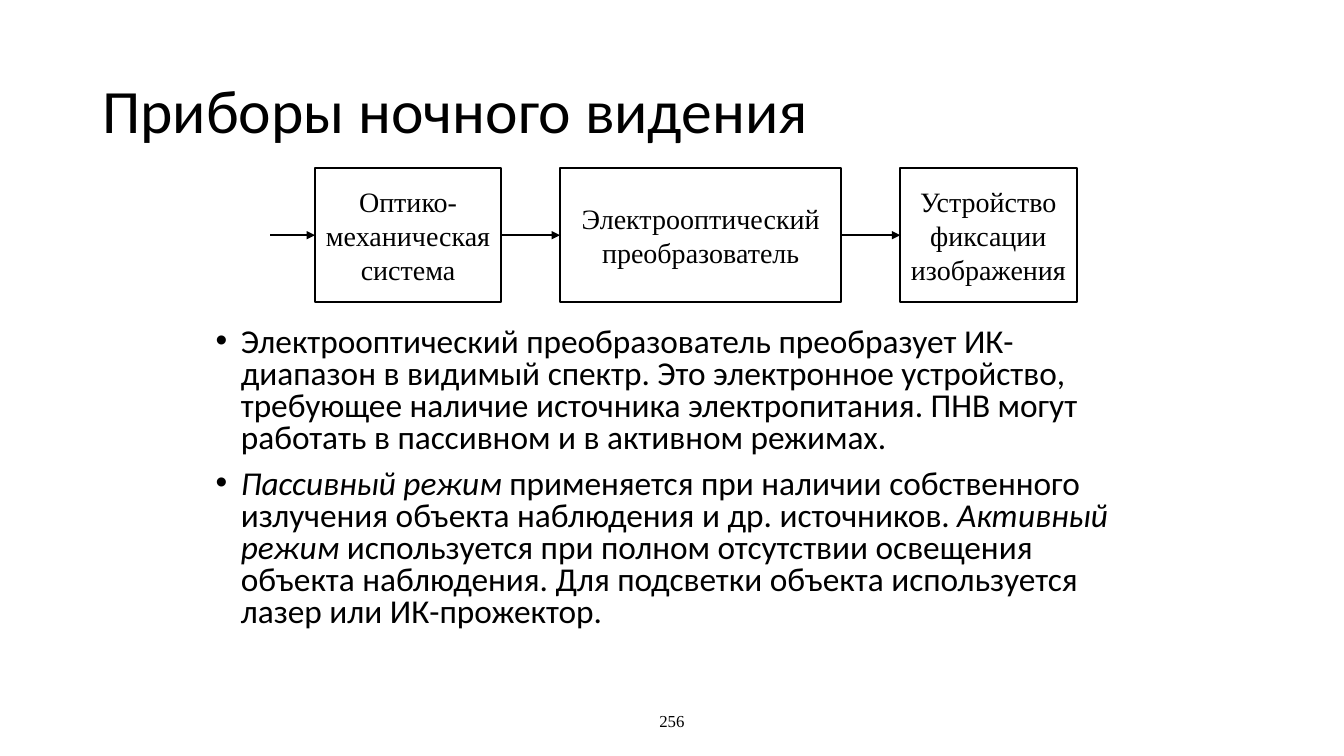
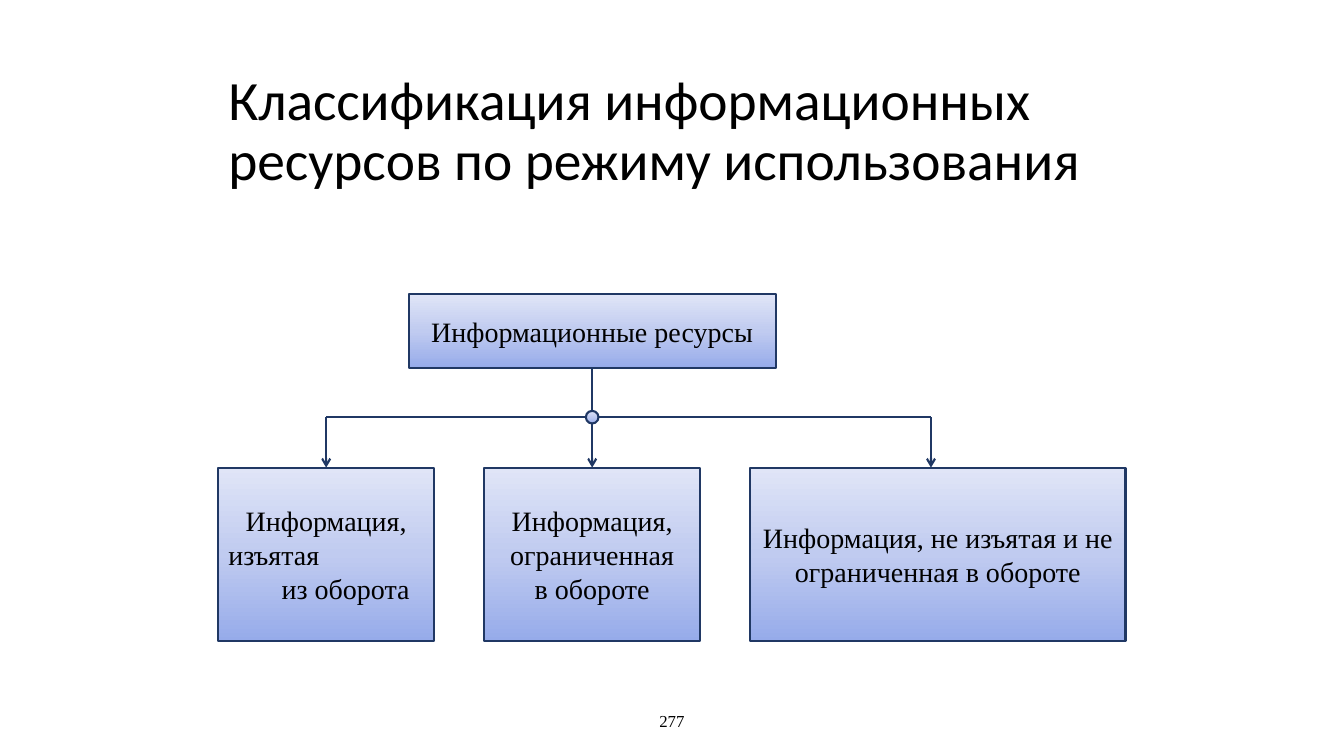
from copy import deepcopy

from lxml import etree
from pptx import Presentation
from pptx.dml.color import RGBColor
from pptx.enum import shapes, text
from pptx.oxml import ns
from pptx.util import Pt

# Shared style
BLACK = RGBColor(0x00, 0x00, 0x00)
WHITE = RGBColor(0xFF, 0xFF, 0xFF)
NAVY = RGBColor(0x20, 0x38, 0x64)
GRADIENT = [
    (0, RGBColor(0x96, 0xAB, 0xEA)),
    (0.5, RGBColor(0xC0, 0xCB, 0xF0)),
    (1, RGBColor(0xE0, 0xE5, 0xF7)),
]
SANS, SERIF = "Calibri", "Times New Roman"
CENTER, LEFT = text.PP_ALIGN.CENTER, text.PP_ALIGN.LEFT
TOP, MIDDLE = text.MSO_ANCHOR.TOP, text.MSO_ANCHOR.MIDDLE
RECTANGLE, OVAL = shapes.MSO_SHAPE.RECTANGLE, shapes.MSO_SHAPE.OVAL
PAGE_NUMBER_AREA = (318, 500.4, 324, 28.8)

# Slide 1: stages as (left, width, lines), bullets as (text, italic) runs
NIGHT_VISION = {
    "title": "Приборы ночного видения",
    "title_area": (66, 29, 828, 104),
    "title_size": 44,
    "page": "256",
}
STAGE_TOP, STAGE_HEIGHT, INPUT_LEFT = 120, 96, 193
STAGES = [
    (225, 133, ["Оптико-", "механическая", "система"]),
    (400, 201, ["Электрооптический преобразователь"]),
    (643, 126, ["Устройство фиксации изображения"]),
]
BODY_AREA = (147, 231, 657, 258)
BULLETS = [
    [("Электрооптический преобразователь преобразует ИК-диапазон в видимый "
      "спектр. Это электронное устройство, требующее наличие источника "
      "электропитания. ПНВ могут работать в пассивном и в активном режимах.",
      False)],
    [("Пассивный режим ", True),
     ("применяется при наличии собственного излучения объекта наблюдения и "
      "др. источников. ", False),
     ("Активный режим ", True),
     ("используется при полном отсутствии освещения объекта наблюдения. Для "
      "подсветки объекта используется лазер или ИК-прожектор.", False)],
]

# Slide 2: leaves as (width, lines); a line may be (text, left indent)
RESOURCES = {
    "title": "Классификация информационных ресурсов по режиму использования",
    "title_area": (156, 22, 648, 145),
    "title_size": 39.6,
    "page": "277",
}
ROOT_TEXT, ROOT_AREA = "Информационные ресурсы", (292, 210, 262, 53)
LEAF_LEFT, LEAF_TOP, LEAF_HEIGHT, LEAF_GAP = 156, 334, 124, 36
LEAVES = [
    (154, ["Информация,", ("изъятая", 0), ("из оборота", 38)]),
    (154, ["Информация,", "ограниченная", "в обороте"]),
    (268, ["Информация, не изъятая и не ограниченная в обороте"]),
]
BUS_TOP, BUS_RIGHT, NODE_SIZE = 298, 665, 9


def set_font(paragraph, name, size):
    paragraph.font.name = name
    paragraph.font.size = Pt(size)
    paragraph.font.color.rgb = BLACK


def set_indent(paragraph, left, first=0):
    properties = paragraph._p.get_or_add_pPr()
    properties.set("marL", str(Pt(left)))
    properties.set("indent", str(Pt(first)))
    return properties


def add_text(slide, area, anchor):
    frame = slide.shapes.add_textbox(*map(Pt, area)).text_frame
    frame.word_wrap = True
    frame.vertical_anchor = anchor
    return frame


def add_slide(presentation, content):
    slide = presentation.slides.add_slide(presentation.slide_layouts[6])
    title = add_text(slide, content["title_area"], MIDDLE).paragraphs[0]
    title.text = content["title"]
    title.line_spacing = 0.9
    set_font(title, SANS, content["title_size"])
    number = add_text(slide, PAGE_NUMBER_AREA, MIDDLE).paragraphs[0]
    number.text = content["page"]
    number.alignment = CENTER
    set_font(number, SERIF, 12)
    return slide


def add_box(slide, area, lines, color, gradient=False, kind=RECTANGLE):
    shape = slide.shapes.add_shape(kind, *map(Pt, area))
    shape.shadow.inherit = False
    shape.line.color.rgb = color
    shape.line.width = Pt(1.5)
    if gradient:
        shape.fill.gradient()
        shape.fill.gradient_angle = 90
        first = shape._element.xpath(".//a:gs")[0]
        first.addnext(deepcopy(first))
        for stop, (position, stop_color) in zip(shape.fill.gradient_stops, GRADIENT):
            stop.position = position
            stop.color.rgb = stop_color
    else:
        shape.fill.solid()
        shape.fill.fore_color.rgb = WHITE
    frame = shape.text_frame
    frame.word_wrap = True
    frame.vertical_anchor = MIDDLE
    for index, line in enumerate(lines):
        paragraph = frame.add_paragraph() if index else frame.paragraphs[0]
        if isinstance(line, tuple):
            paragraph.text, indent = line
            paragraph.alignment = LEFT
            set_indent(paragraph, indent)
        else:
            paragraph.text = line
            paragraph.alignment = CENTER
        set_font(paragraph, SERIF, 20)
    return shape


def add_line(slide, start, end, color, width, head=None, source=None, target=None):
    """source and target are (shape, connection site) pairs."""
    line = slide.shapes.add_connector(
        shapes.MSO_CONNECTOR.STRAIGHT, *map(Pt, (*start, *end)))
    line.line.color.rgb = color
    line.line.width = Pt(width)
    if head:
        etree.SubElement(line.line._get_or_add_ln(), ns.qn("a:tailEnd"), type=head)
    etree.SubElement(line._element.spPr, ns.qn("a:effectLst"))
    if source:
        line.begin_connect(*source)
    if target:
        line.end_connect(*target)


def build_night_vision(presentation):
    slide = add_slide(presentation, NIGHT_VISION)

    # Chain of stages, each entered by an arrow
    middle = STAGE_TOP + STAGE_HEIGHT / 2
    previous, right = None, INPUT_LEFT
    for left, width, lines in STAGES:
        stage = add_box(slide, (left, STAGE_TOP, width, STAGE_HEIGHT), lines, BLACK)
        add_line(slide, (right, middle), (left, middle), BLACK, 1, "triangle",
                 source=previous, target=(stage, 1))
        previous, right = (stage, 3), left + width

    # Bulleted explanation
    frame = add_text(slide, BODY_AREA, TOP)
    for index, runs in enumerate(BULLETS):
        paragraph = frame.add_paragraph() if index else frame.paragraphs[0]
        properties = set_indent(paragraph, 18, -18)
        etree.SubElement(properties, ns.qn("a:buFont"), typeface="Arial")
        etree.SubElement(properties, ns.qn("a:buChar"), char="•")
        paragraph.line_spacing = 0.8
        if index:
            paragraph.space_before = Pt(10)
        set_font(paragraph, SANS, 23.8)
        for words, italic in runs:
            run = paragraph.add_run()
            run.text = words
            run.font.italic = italic


def build_resources(presentation):
    slide = add_slide(presentation, RESOURCES)

    # Root and leaves
    root = add_box(slide, ROOT_AREA, [ROOT_TEXT], NAVY, gradient=True)
    leaves, centers, left = [], [], LEAF_LEFT
    for width, lines in LEAVES:
        area = (left, LEAF_TOP, width, LEAF_HEIGHT)
        leaves.append(add_box(slide, area, lines, NAVY, gradient=True))
        centers.append(left + width / 2)
        left += width + LEAF_GAP

    # Bus with its drops, and the trunk from the root
    bus_left, trunk = centers[:2]
    root_bottom = ROOT_AREA[1] + ROOT_AREA[3]
    add_line(slide, (bus_left, BUS_TOP), (BUS_RIGHT, BUS_TOP), NAVY, 1.5)
    for start, target in [
        ((bus_left, BUS_TOP), (leaves[0], 0)),
        ((BUS_RIGHT, BUS_TOP), None),
    ]:
        add_line(slide, start, (start[0], LEAF_TOP), NAVY, 1.5, "arrow", target=target)
    add_line(slide, (trunk, root_bottom), (trunk, LEAF_TOP), NAVY, 1.5, "arrow",
             source=(root, 2), target=(leaves[1], 0))

    # Branching node
    half = NODE_SIZE / 2
    add_box(slide, (trunk - half, BUS_TOP - half, NODE_SIZE, NODE_SIZE), [], NAVY,
            gradient=True, kind=OVAL)


def main():
    presentation = Presentation()
    presentation.slide_width, presentation.slide_height = Pt(960), Pt(540)
    build_night_vision(presentation)
    build_resources(presentation)
    presentation.save("out.pptx")


if __name__ == "__main__":
    main()
